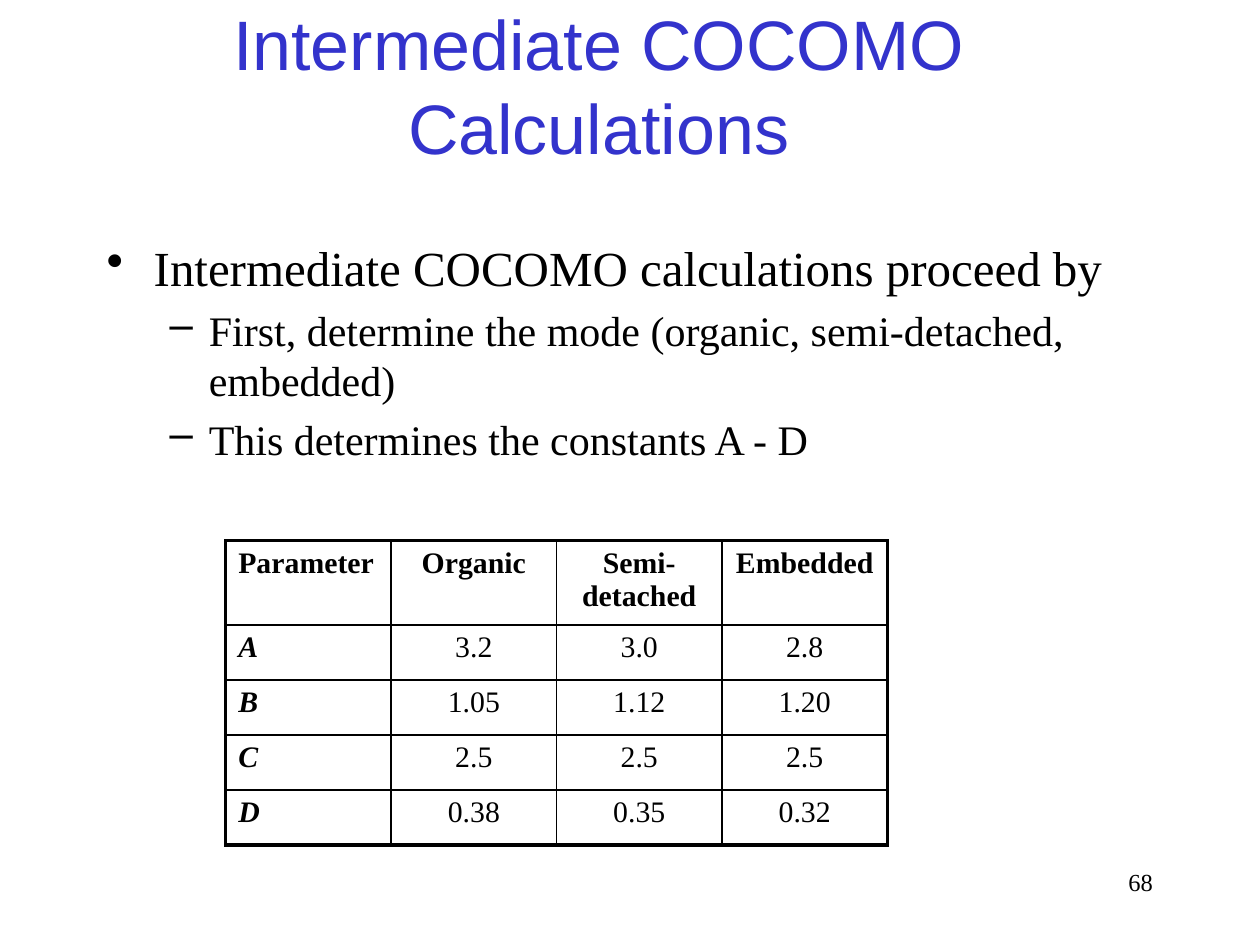
import dataclasses

import pptx
import pptx.dml.color
import pptx.enum.text
import pptx.oxml
import pptx.oxml.ns
import pptx.util

Cm = pptx.util.Cm
Pt = pptx.util.Pt
ALIGN = pptx.enum.text.PP_ALIGN
ANCHOR = pptx.enum.text.MSO_ANCHOR
SERIF = "Times New Roman"
BLACK = "000000"
BLUE = "3333CC"
OUTER_LINE = 2.25
INNER_LINE = 1


@dataclasses.dataclass(frozen=True)
class Style:
    size: float
    font: str = SERIF
    color: str = BLACK
    bold: bool = False
    italic: bool = False
    align: ALIGN = ALIGN.LEFT
    space_before: float = 0


@dataclasses.dataclass(frozen=True)
class Bullet:
    text: str
    mark: str
    level: int
    size: float
    margin: float
    hanging: float


BULLETS = [
    Bullet("Intermediate COCOMO calculations proceed by", "•", 0, 28, 0.95, 0.95),
    Bullet("First, determine the mode (organic, semi-detached, embedded)", "–", 1, 24, 2.06, 0.79),
    Bullet("This determines the constants A - D", "–", 1, 24, 2.06, 0.79),
]
PARAMETERS = [
    ["Parameter", "Organic", "Semi-detached", "Embedded"],
    ["A", "3.2", "3.0", "2.8"],
    ["B", "1.05", "1.12", "1.20"],
    ["C", "2.5", "2.5", "2.5"],
    ["D", "0.38", "0.35", "0.32"],
]


def rgb(color: str) -> pptx.dml.color.RGBColor:
    return pptx.dml.color.RGBColor.from_string(color)


def write(para, text: str, style: Style) -> None:
    para.alignment = style.align
    para.space_before = Pt(style.space_before)
    span = para.add_run()
    span.text = text
    span.font.size = Pt(style.size)
    span.font.name = style.font
    span.font.bold = style.bold
    span.font.italic = style.italic
    span.font.color.rgb = rgb(style.color)


def add_box(page, left: float, top: float, width: float, height: float, anchor=ANCHOR.TOP):
    box = page.shapes.add_textbox(Cm(left), Cm(top), Cm(width), Cm(height))
    box.text_frame.word_wrap = True
    box.text_frame.vertical_anchor = anchor
    return box.text_frame


def write_bullet(para, bullet: Bullet) -> None:
    write(para, bullet.text, Style(bullet.size, space_before=bullet.size * 0.2))
    para.level = bullet.level
    properties = para._p.get_or_add_pPr()
    properties.set("marL", str(Cm(bullet.margin)))
    properties.set("indent", str(-Cm(bullet.hanging)))
    mark = pptx.oxml.parse_xml(f'<a:buChar {pptx.oxml.ns.nsdecls("a")} char="{bullet.mark}"/>')
    properties.append(mark)


def add_border(cell, side: str, width: float) -> None:
    cell._tc.get_or_add_tcPr().append(pptx.oxml.parse_xml(
        f'<a:ln{side} {pptx.oxml.ns.nsdecls("a")} w="{Pt(width)}">'
        f'<a:solidFill><a:srgbClr val="{BLACK}"/></a:solidFill></a:ln{side}>'))


def add_parameter_table(page) -> None:
    rows, columns = len(PARAMETERS), len(PARAMETERS[0])
    frame = page.shapes.add_table(rows, columns, Cm(4.55), Cm(10.9), Cm(13.34), Cm(6.12))
    table = frame.table
    table.first_row = table.horz_banding = False
    for index, row in enumerate(table.rows):
        row.height = Cm(1.11 if index else 1.69)
    for row, values in enumerate(PARAMETERS):
        for column, value in enumerate(values):
            cell = table.cell(row, column)
            edges = {"L": column == 0, "R": column == columns - 1,
                     "T": row == 0, "B": row == rows - 1}
            for side, outer in edges.items():
                add_border(cell, side, OUTER_LINE if outer else INNER_LINE)
            cell.fill.background()
            style = Style(17, bold=row == 0 or column == 0, italic=row > 0 and column == 0,
                          align=ALIGN.CENTER if column else ALIGN.LEFT, space_before=3.4)
            write(cell.text_frame.paragraphs[0], value, style)


def main() -> None:
    """Build the slide on Intermediate COCOMO calculations."""
    deck = pptx.Presentation()
    deck.slide_width, deck.slide_height = Cm(25.4), Cm(19.05)
    page = deck.slides.add_slide(deck.slide_layouts[6])

    title = add_box(page, 0.85, 0.64, 22.43, 2.12, ANCHOR.MIDDLE)
    write(title.paragraphs[0], "Intermediate COCOMO Calculations",
          Style(40, "Arial", BLUE, align=ALIGN.CENTER))

    body = add_box(page, 1.9, 4.66, 22.86, 12.5)
    for index, bullet in enumerate(BULLETS):
        write_bullet(body.add_paragraph() if index else body.paragraphs[0], bullet)

    number = add_box(page, 18.2, 17.36, 5.29, 1.27)
    write(number.paragraphs[0], "68", Style(14, align=ALIGN.RIGHT))

    add_parameter_table(page)
    deck.save("out.pptx")


if __name__ == "__main__":
    main()
